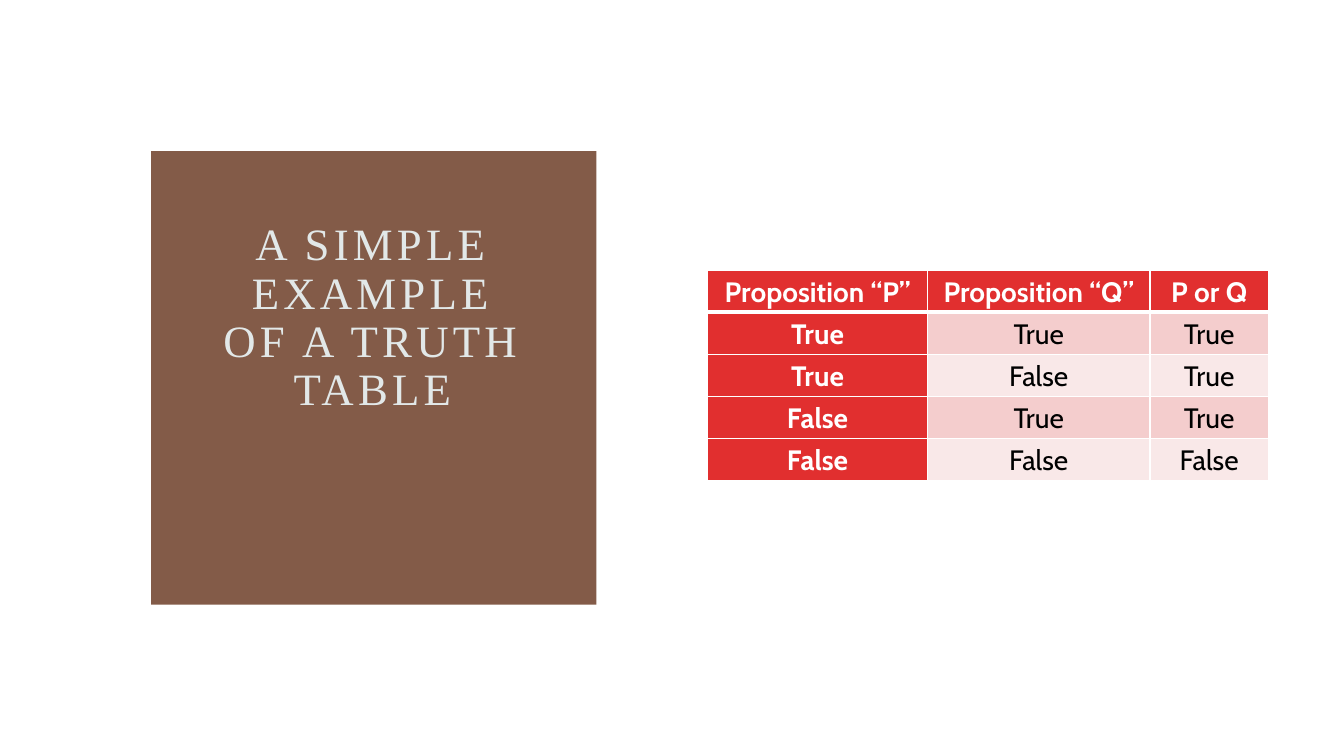
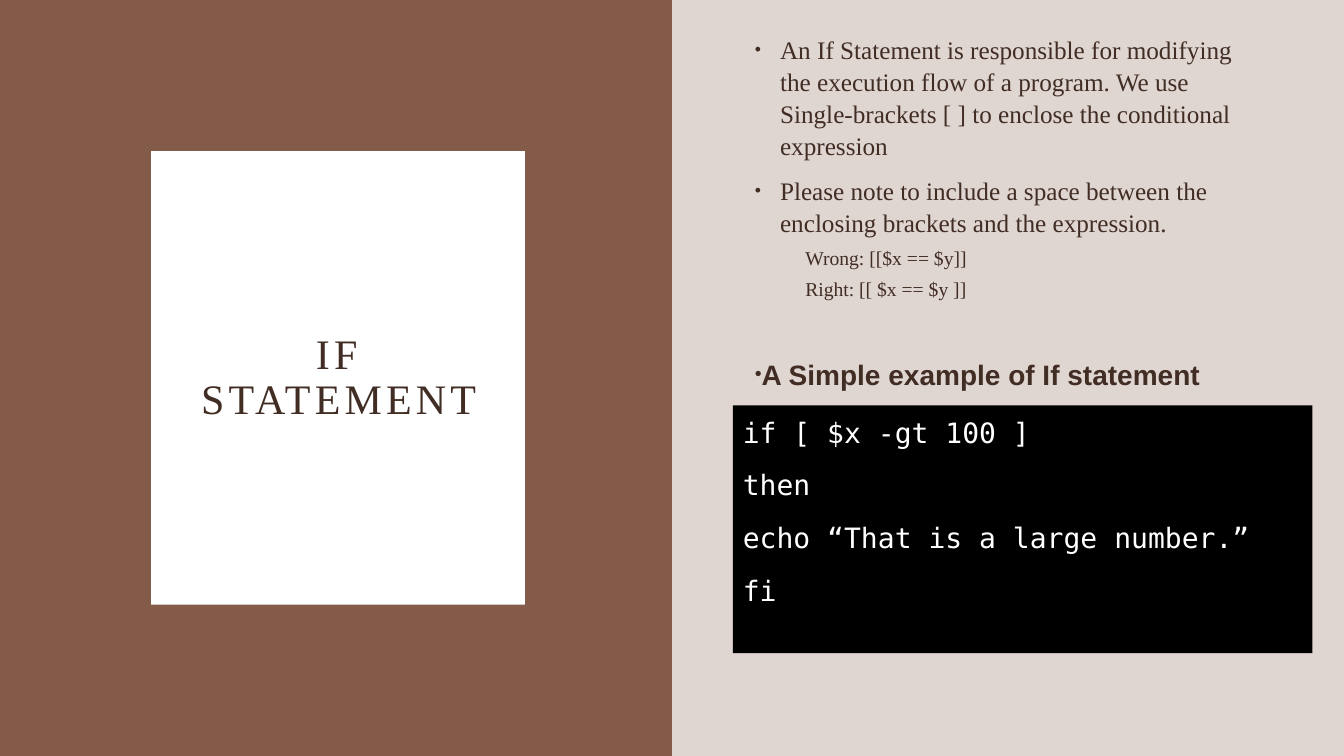
from lxml.etree import SubElement
from pptx import Presentation
from pptx.dml.color import RGBColor
from pptx.enum.shapes import MSO_SHAPE
from pptx.enum.text import MSO_ANCHOR, MSO_AUTO_SIZE, PP_ALIGN
from pptx.oxml.ns import qn
from pptx.util import Pt

HUES = dict(brown="835B48", dark="412D24", pale="E2E8E8", white="FFFFFF",
            black="000000", red="E12F2F", rose="F4CDCD", blush="F9E8E8")
SERIF, SANS, TABLE, MONO = "Times New Roman", "Arial", "Cabin", "DejaVu Sans Mono"
WIDE, HIGH = 960, 540
HALF = WIDE / 2

TRUTH = [
    ("Proposition “P”", "Proposition “Q”", "P or Q"),
    ("True", "True", "True"),
    ("True", "False", "True"),
    ("False", "True", "True"),
    ("False", "False", "False"),
]
COLS, ROW = (157, 159, 84.5), 30

BULLET = dict(size=18, bullet="•", left=18, hang=18)
SUB = dict(size=14, level=1, left=36, before=5)
NOTES = [
    ("An If Statement is responsible for modifying the execution flow of a program. "
     "We use Single-brackets [ ] to enclose the conditional expression", BULLET),
    ("Please note to include a space between the enclosing brackets and the expression.",
     dict(BULLET, before=10)),
    ("Wrong: [[$x == $y]]", SUB),
    ("Right: [[ $x == $y ]]", SUB),
    ("A Simple example of If statement",
     dict(size=20, font=SANS, bold=True, bullet="•", before=39)),
]
CODE = ["if [ $x -gt 100 ]", "then", "echo “That is a large number.”", "fi"]


def color(hue):
    return RGBColor.from_string(HUES[hue])


def write(par, text, size=18, font=SERIF, hue="dark", bold=False, align=PP_ALIGN.LEFT,
          lines=1.0, before=0, after=0, level=0, left=0, hang=0, bullet=None, track=0):
    par.level, par.alignment, par.line_spacing = level, align, lines
    par.space_before, par.space_after = Pt(before), Pt(after)
    props = par._p.get_or_add_pPr()
    props.set("marL", str(Pt(left)))
    props.set("indent", str(Pt(-hang)))
    if bullet:
        SubElement(props, qn("a:buSzPct"), val="70000")
        SubElement(props, qn("a:buChar"), char=bullet)
    else:
        SubElement(props, qn("a:buNone"))
    run = par.add_run()
    run.text = text
    run.font.size, run.font.name, run.font.bold = Pt(size), font, bold
    run.font.color.rgb = color(hue)
    if track:
        run.font._element.set("spc", str(track * 100))


def fill_frame(frame, items, anchor=MSO_ANCHOR.TOP):
    """Write (text, format) pairs as the paragraphs of a text frame."""
    frame.word_wrap, frame.auto_size = True, MSO_AUTO_SIZE.NONE
    frame.vertical_anchor = anchor
    for i, (text, form) in enumerate(items):
        write(frame.add_paragraph() if i else frame.paragraphs[0], text, **form)


def place(shape, x, y, w, h):
    shape.left, shape.top, shape.width, shape.height = Pt(x), Pt(y), Pt(w), Pt(h)


def panel(slide, x, y, w, h, hue, alpha=None):
    box = slide.shapes.add_shape(MSO_SHAPE.RECTANGLE, Pt(x), Pt(y), Pt(w), Pt(h))
    box.shadow.inherit = False
    box.fill.solid()
    box.fill.fore_color.rgb = color(hue)
    box.line.fill.background()
    if alpha:
        tint = box._element.spPr.find(f".//{qn('a:srgbClr')}")
        SubElement(tint, qn("a:alpha"), val=str(alpha * 1000))
    return box


def set_text(slide, holder, area, items, anchor):
    """Fill a placeholder and lift it above the panels."""
    place(holder, *area)
    fill_frame(holder.text_frame, items, anchor)
    slide.shapes._spTree.append(holder._element)


def set_title(slide, text, area, size, hue, anchor):
    form = dict(size=size, hue=hue, align=PP_ALIGN.CENTER, lines=0.9, track=3)
    set_text(slide, slide.shapes.title, area, [(text, form)], anchor)


def edge(cell, side, width):
    line = SubElement(cell._tc.get_or_add_tcPr(), qn(f"a:ln{side}"), w=str(Pt(width)))
    fill = SubElement(line, qn("a:solidFill"))
    SubElement(fill, qn("a:srgbClr"), val=HUES["white"])


def add_truth(slide, x, y):
    grid = slide.shapes.add_table(len(TRUTH), len(COLS), Pt(x), Pt(y),
                                  Pt(sum(COLS)), Pt(ROW * len(TRUTH))).table
    for col, wide in zip(grid.columns, COLS):
        col.width = Pt(wide)
    for r, texts in enumerate(TRUTH):
        grid.rows[r].height = Pt(ROW)
        for c, text in enumerate(texts):
            cell = grid.cell(r, c)
            head = r == 0 or c == 0
            cell.margin_left = cell.margin_right = Pt(6.5)
            cell.margin_top = cell.margin_bottom = 0
            for side in "LRTB":
                edge(cell, side, 3 if (r, side) in ((0, "B"), (1, "T")) else 1)
            cell.fill.solid()
            cell.fill.fore_color.rgb = color("red" if head else "rose" if r % 2 else "blush")
            write(cell.text_frame.paragraphs[0], text, size=20, font=TABLE, bold=head,
                  hue="white" if head else "black", align=PP_ALIGN.CENTER, lines=1.15)


def truth_slide(deck):
    slide = deck.slides.add_slide(deck.slide_layouts[5])
    panel(slide, 108, 108, 318, 324, "brown")
    set_title(slide, "A SIMPLE EXAMPLE OF A TRUTH TABLE", (148, 145, 236, 155.5),
              32, "pale", MSO_ANCHOR.BOTTOM)
    add_truth(slide, 505.5, 193)


def if_slide(deck):
    slide = deck.slides.add_slide(deck.slide_layouts[1])
    panel(slide, 0, 0, HALF, HIGH, "brown")
    panel(slide, 108, 108, 267, 324, "white")
    panel(slide, HALF, 0, HALF, HIGH, "brown", alpha=25)
    set_title(slide, "IF STATEMENT", (134.5, 133, 215, 274.5), 30, "dark", MSO_ANCHOR.MIDDLE)
    notes = [(text, dict(form, lines=1.05)) for text, form in NOTES]
    set_text(slide, slide.placeholders[1], (532, 20, 376, 265), notes, MSO_ANCHOR.TOP)
    code = panel(slide, 523.5, 289.5, 414, 177, "black")
    form = dict(size=20, font=MONO, hue="white", lines=1.15, after=10)
    fill_frame(code.text_frame, [(text, form) for text in CODE])


def main():
    deck = Presentation()
    deck.slide_width, deck.slide_height = Pt(WIDE), Pt(HIGH)
    truth_slide(deck)
    if_slide(deck)
    deck.save("out.pptx")


if __name__ == "__main__":
    main()
